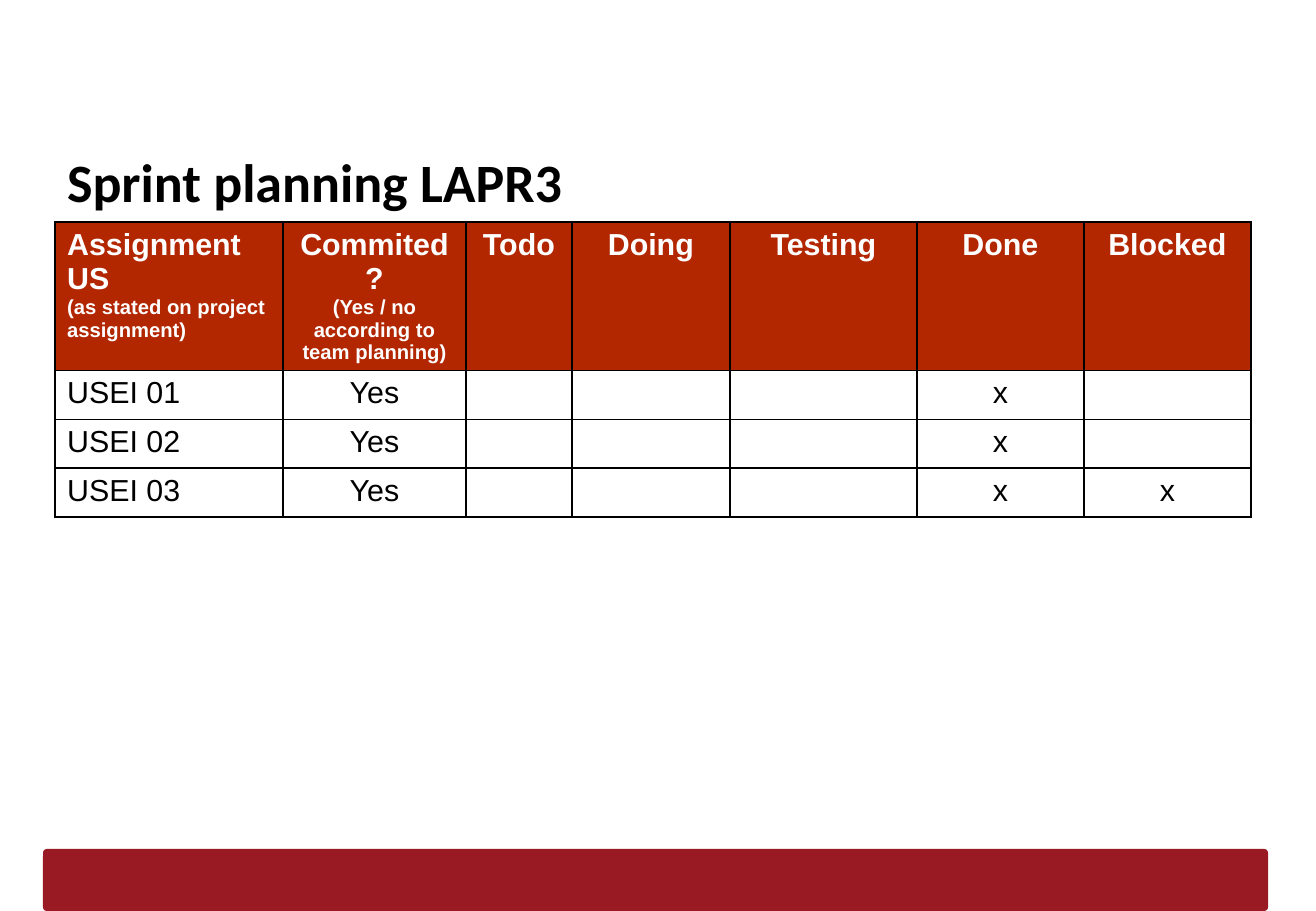
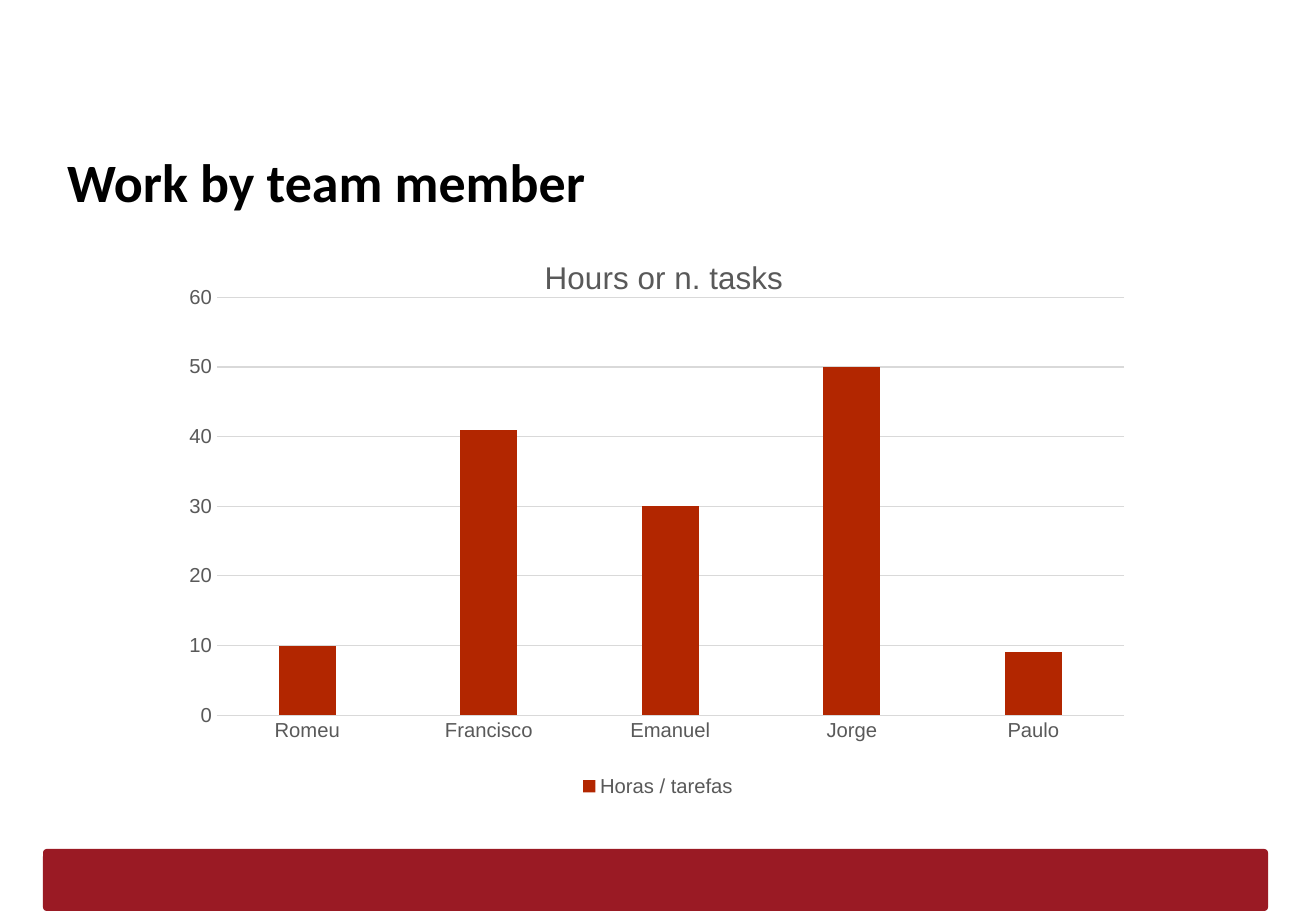
from lxml import etree
from pptx import Presentation
from pptx.chart.data import CategoryChartData
from pptx.dml.color import RGBColor
from pptx.enum.chart import XL_CHART_TYPE, XL_LEGEND_POSITION, XL_TICK_MARK
from pptx.enum.shapes import MSO_SHAPE
from pptx.enum.text import MSO_ANCHOR, MSO_AUTO_SIZE, PP_ALIGN
from pptx.oxml import parse_xml
from pptx.oxml.ns import nsdecls, qn
from pptx.util import Pt

COLUMN_CLUSTERED = XL_CHART_TYPE.COLUMN_CLUSTERED
LEGEND_BOTTOM = XL_LEGEND_POSITION.BOTTOM
NO_TICK = XL_TICK_MARK.NONE
ROUNDED_RECTANGLE = MSO_SHAPE.ROUNDED_RECTANGLE
TOP = MSO_ANCHOR.TOP
NO_AUTOFIT = MSO_AUTO_SIZE.NONE
LEFT, CENTER = PP_ALIGN.LEFT, PP_ALIGN.CENTER

BLACK = RGBColor(0x00, 0x00, 0x00)
WHITE = RGBColor(0xFF, 0xFF, 0xFF)
BAND_RED = RGBColor(0x9A, 0x1A, 0x24)
RUST = RGBColor(0xB2, 0x26, 0x00)
TEXT_GRAY = RGBColor(0x59, 0x59, 0x59)
GRID_GRAY = RGBColor(0xD9, 0xD9, 0xD9)

PX = 914400 / 121.5


def set_font(font, size, color, bold=False, name="Arial"):
    values = {"size": Pt(size), "bold": bold, "name": name}
    for attribute, value in values.items():
        setattr(font, attribute, value)
    font.color.rgb = color


def set_layout(parent, index, values):
    for layout in parent.findall(qn("c:layout")):
        parent.remove(layout)
    layout = parse_xml(f"<c:layout {nsdecls('c')}><c:manualLayout/></c:layout>")
    for tag, value in values.items():
        etree.SubElement(layout[0], qn(f"c:{tag}")).set("val", str(value))
    parent.insert(index, layout)


presentation = Presentation()
presentation.slide_width = round(1316 * PX)
presentation.slide_height = round(911 * PX)

slides = []
for title_text, title_width in [("Sprint planning LAPR3", 1225), ("Work by team member", 1202)]:
    slide = presentation.slides.add_slide(presentation.slide_layouts[5])
    slides.append(slide)

    band = slide.shapes.add_shape(
        ROUNDED_RECTANGLE, *[round(length * PX) for length in (43, 849, 1225, 62)]
    )
    band.adjustments[0] = 0.06
    band.shadow.inherit = False
    band.fill.solid()
    band.fill.fore_color.rgb = BAND_RED
    band.line.fill.background()

    title = slide.shapes.title
    title_box = {"left": 55, "top": 132, "width": title_width, "height": 77}
    for attribute, length in title_box.items():
        setattr(title, attribute, round(length * PX))
    frame = title.text_frame
    frame_format = {
        "text": title_text,
        "word_wrap": True,
        "auto_size": NO_AUTOFIT,
        "vertical_anchor": TOP,
        "margin_left": round(12 * PX),
        "margin_right": round(12 * PX),
        "margin_top": round(16 * PX),
        "margin_bottom": 0,
    }
    for attribute, value in frame_format.items():
        setattr(frame, attribute, value)
    frame.paragraphs[0].alignment = LEFT
    set_font(frame.paragraphs[0].runs[0].font, 32, BLACK, True, "Calibri")

planning_slide, work_slide = slides

planning_rows = [
    [
        "Assignment US\n(as stated on project assignment)",
        "Commited?\n(Yes / no according to team planning)",
        "Todo", "Doing", "Testing", "Done", "Blocked",
    ],
    ["USEI 01", "Yes", "", "", "", "x", ""],
    ["USEI 02", "Yes", "", "", "", "x", ""],
    ["USEI 03", "Yes", "", "", "", "x", "x"],
]
column_widths = [228, 183, 106, 158, 187, 167, 167]
row_heights = [148, 49, 49, 49]
table_box = (55, 222, sum(column_widths), sum(row_heights))
table = planning_slide.shapes.add_table(
    len(row_heights), len(column_widths), *[round(length * PX) for length in table_box]
).table
for column, width in zip(table.columns, column_widths):
    column.width = round(width * PX)
for row, height in zip(table.rows, row_heights):
    row.height = round(height * PX)

for row_index, row_texts in enumerate(planning_rows):
    is_header = row_index == 0
    for column_index, text in enumerate(row_texts):
        cell = table.cell(row_index, column_index)
        cell.text = text
        for paragraph_index, paragraph in enumerate(cell.text_frame.paragraphs):
            paragraph.alignment = CENTER if column_index else LEFT
            size = 12 if paragraph_index else 18
            set_font(paragraph.font, size, WHITE if is_header else BLACK, is_header)
            for run in paragraph.runs:
                set_font(run.font, size, WHITE if is_header else BLACK, is_header)
        cell_properties = cell._tc.get_or_add_tcPr()
        for side in ("lnL", "lnR", "lnT", "lnB"):
            cell_properties.append(parse_xml(
                f'<a:{side} {nsdecls("a")} w="12700"><a:solidFill>'
                f'<a:srgbClr val="{BLACK}"/></a:solidFill></a:{side}>'
            ))
        cell.fill.solid()
        cell.fill.fore_color.rgb = RUST if is_header else WHITE

chart_data = CategoryChartData()
chart_data.categories = ["Romeu", "Francisco", "Emanuel", "Jorge", "Paulo"]
chart_data.add_series("Horas / tarefas", [10, 41, 30, 50, 9])
chart = work_slide.shapes.add_chart(
    COLUMN_CLUSTERED, *[round(length * PX) for length in (162, 228, 992, 574)], chart_data
).chart
set_font(chart.font, 10, BLACK)

chart.has_title = True
chart_title = chart.chart_title
chart_title.include_in_layout = False
chart_title.text_frame.text = "Hours or n. tasks"
set_font(chart_title.text_frame.paragraphs[0].runs[0].font, 18.6, TEXT_GRAY)
set_layout(chart_title._element, 1, {"xMode": "edge", "yMode": "edge", "x": 0.38, "y": 0.04})

chart.has_legend = True
chart.legend.position = LEGEND_BOTTOM
chart.legend.include_in_layout = False
set_font(chart.legend.font, 12, TEXT_GRAY)

plot = chart.plots[0]
plot_format = {"gap_width": 219, "overlap": -27, "vary_by_categories": False}
for attribute, value in plot_format.items():
    setattr(plot, attribute, value)
plot.series[0].format.fill.solid()
plot.series[0].format.fill.fore_color.rgb = RUST
set_layout(plot._element.getparent(), 0, {
    "layoutTarget": "inner", "xMode": "edge", "yMode": "edge",
    "x": 0.055, "y": 0.121, "w": 0.915, "h": 0.728,
})

category_axis, value_axis = chart.category_axis, chart.value_axis
for axis in (category_axis, value_axis):
    axis.major_tick_mark = NO_TICK
    axis.minor_tick_mark = NO_TICK
    set_font(axis.tick_labels.font, 12, TEXT_GRAY)
value_axis_format = {
    "minimum_scale": 0, "maximum_scale": 60, "major_unit": 10, "has_major_gridlines": True,
}
for attribute, value in value_axis_format.items():
    setattr(value_axis, attribute, value)
value_axis.format.line.fill.background()
for line in (category_axis.format.line, value_axis.major_gridlines.format.line):
    line.width = Pt(0.75)
    line.color.rgb = GRID_GRAY

presentation.save("out.pptx")
